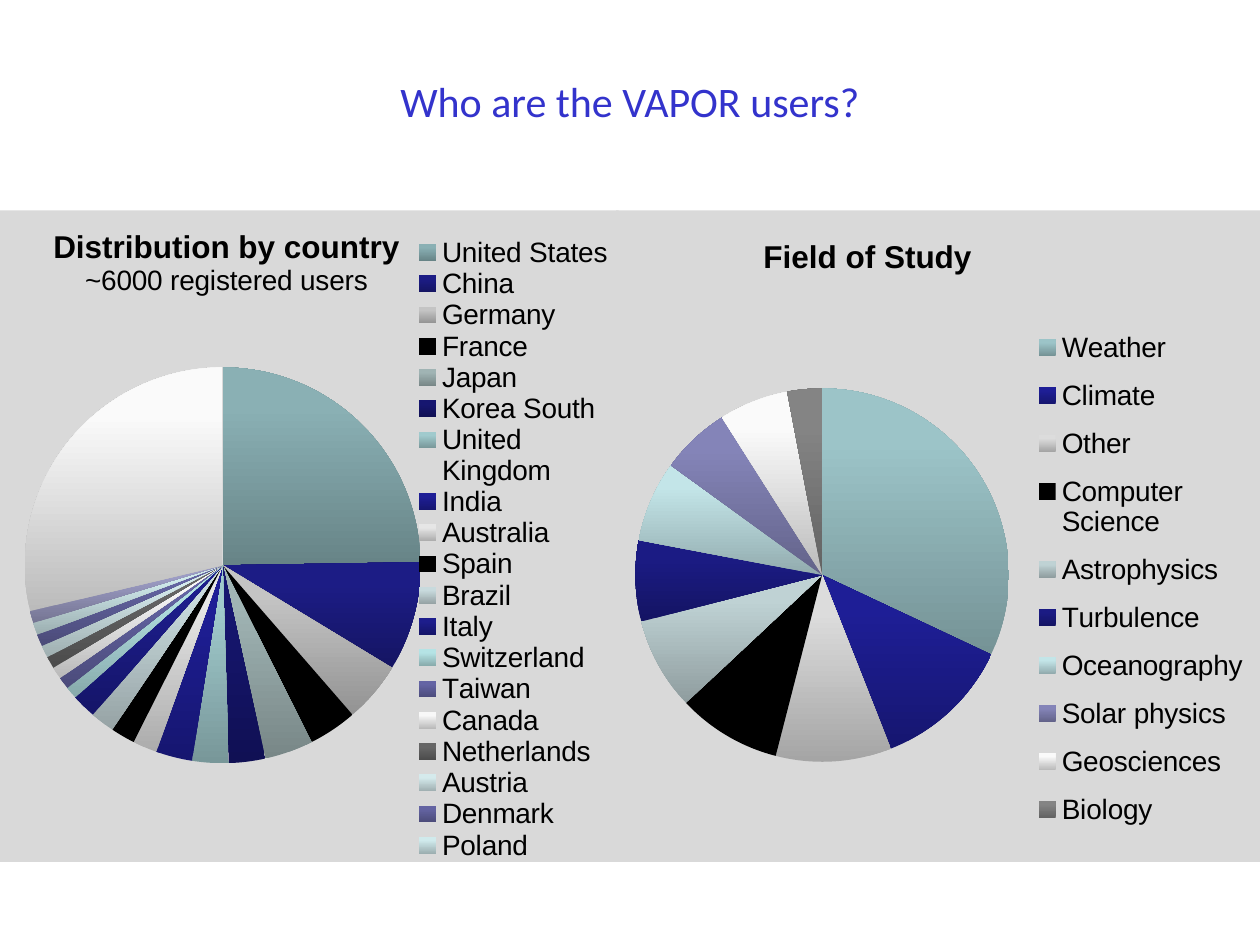
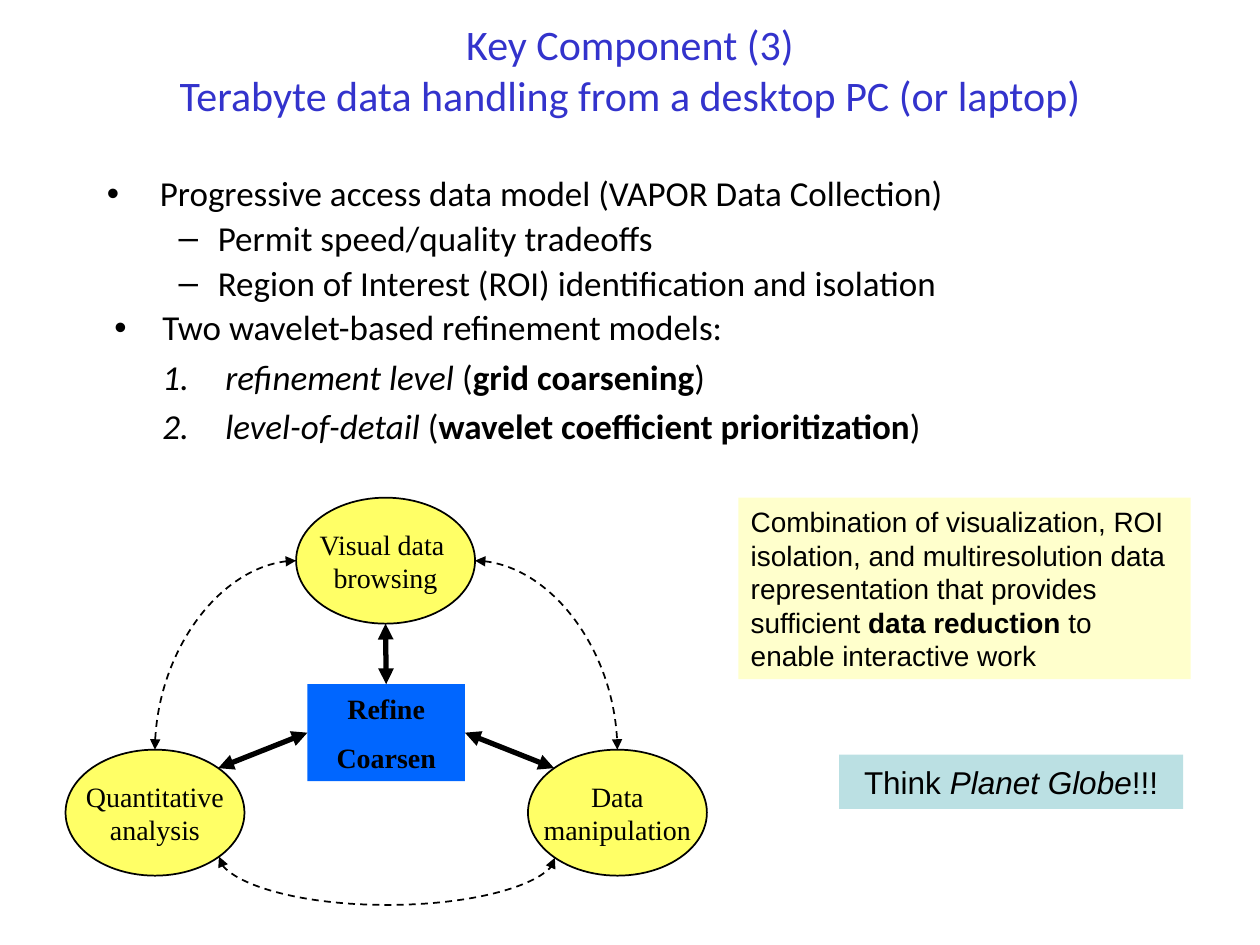
from dataclasses import dataclass
from math import sqrt

from lxml import etree
from pptx import Presentation
from pptx.chart.data import CategoryChartData
from pptx.dml.color import RGBColor
from pptx.enum.chart import XL_CHART_TYPE, XL_LEGEND_POSITION
from pptx.enum.dml import MSO_LINE
from pptx.enum.shapes import MSO_CONNECTOR, MSO_SHAPE
from pptx.enum.text import MSO_ANCHOR, PP_ALIGN
from pptx.oxml import parse_xml
from pptx.oxml.ns import nsdecls, qn
from pptx.util import Inches, Pt

BLACK = "000000"
TITLE_BLUE = "3333CC"
PANEL_GREY = "D9D9D9"
BUBBLE_YELLOW = "FFFF66"

Box = tuple[float, float, float, float]  # left, top, width, height
Point = tuple[float, float]
Runs = list[tuple[str, str]]  # text, style: "", "b" or "i"


@dataclass
class Line:
    runs: Runs
    indent: float = 0
    hanging: float = 0
    bullet: str = ""
    spacing: float = 1.0
    before: float = 0


@dataclass
class TextStyle:
    font: str
    size: float
    color: str = BLACK
    bold: bool = False
    align: PP_ALIGN = PP_ALIGN.CENTER
    anchor: MSO_ANCHOR = MSO_ANCHOR.MIDDLE
    wrap: bool = True


@dataclass
class Pie:
    box: Box
    heading: str
    subheading: str
    slices: list[tuple[str, int, str]]  # category, share, top colour
    title_at: Point
    plot_box: Box
    legend_box: Box


TITLE_STYLE = TextStyle("Calibri", 24, TITLE_BLUE)
BUBBLE_STYLE = TextStyle("Times New Roman", 16, wrap=False)

COUNTRIES = Pie(
    (0, 1.67, 4.91, 5.17), "Distribution by country", "~6000 registered users",
    [("United States", 25, "8AB0B4"), ("China", 9, "1C1C85"), ("Germany", 5, "C4C4C4"),
     ("France", 4, BLACK), ("Japan", 4, "A0B4B4"), ("Korea South", 3, "161670"),
     ("United Kingdom", 3, "A0CACD"), ("India", 3, "1E1E96"), ("Australia", 2, "E6E6E6"),
     ("Spain", 2, BLACK), ("Brazil", 2, "C8DADD"), ("Italy", 2, "1D1D8C"),
     ("Switzerland", 1, "B5E3E5"), ("Taiwan", 1, "6464A4"), ("Canada", 1, "F8F8F8"),
     ("Netherlands", 1, "666666"), ("Austria", 1, "D5EAEC"), ("Denmark", 1, "6464A2"),
     ("Poland", 1, "D0EAEC"), ("Russian Federation", 1, "9C9CC4"), ("Other", 29, "FAFAFA")],
    (0.08, 0.02), (0.04, 0.24, 0.64, 0.61), (0.66, 0.04, 0.34, 0.96))

FIELDS = Pie(
    (4.89, 1.67, 5.11, 5.17), "Field of Study", "",
    [("Weather", 32, "9CC4C8"), ("Climate", 12, "1E1E96"), ("Other", 10, "DCDCDC"),
     ("Computer Science", 9, BLACK), ("Astrophysics", 8, "BFD2D4"),
     ("Turbulence", 7, "1B1B84"), ("Oceanography", 7, "C3E5E8"),
     ("Solar physics", 6, "8484B8"), ("Geosciences", 6, "FAFAFA"), ("Biology", 3, "848484")],
    (0.22, 0.03), (0.03, 0.27, 0.58, 0.58), (0.64, 0.16, 0.35, 0.81))


def rgb(color: str) -> RGBColor:
    return RGBColor.from_string(color)


def shade(color: str, factor: float = 0.75) -> str:
    return "".join(f"{int(int(color[i:i + 2], 16) * factor):02X}" for i in (0, 2, 4))


def inches(values) -> list:
    return [Inches(value) for value in values]


# Text
def set_bullet(paragraph, line: Line) -> None:
    properties = paragraph._p.get_or_add_pPr()
    properties.set("marL", str(Inches(line.indent)))
    properties.set("indent", str(-Inches(line.hanging)))
    if line.bullet == "1.":
        etree.SubElement(properties, qn("a:buAutoNum"), type="arabicPeriod")
    else:
        etree.SubElement(properties, qn("a:buFont"), typeface="Arial")
        etree.SubElement(properties, qn("a:buChar"), char=line.bullet)


def write(shape, lines: list[Line], style: TextStyle) -> None:
    frame = shape.text_frame
    frame.word_wrap = style.wrap
    frame.vertical_anchor = style.anchor
    for number, line in enumerate(lines):
        paragraph = frame.add_paragraph() if number else frame.paragraphs[0]
        if line.bullet:
            set_bullet(paragraph, line)
        paragraph.alignment = style.align
        paragraph.line_spacing = line.spacing
        if number and line.before:
            paragraph.space_before = Pt(line.before)
        font = paragraph.font
        font.name, font.size, font.bold = style.font, Pt(style.size), style.bold
        font.color.rgb = rgb(style.color)
        for text, emphasis in line.runs:
            run = paragraph.add_run()
            run.text = text
            if emphasis == "b":
                run.font.bold = True
            elif emphasis == "i":
                run.font.italic = True


def add_title(slide, top: float, *rows: str) -> None:
    title = slide.shapes.add_textbox(*inches((0.75, top, 8.5, 0.94)))
    write(title, [Line([(row, "")]) for row in rows], TITLE_STYLE)


def add_panel(slide, kind, box: Box, fill: str, lines: list[Line], style: TextStyle,
              outline: str = ""):
    panel = slide.shapes.add_shape(kind, *inches(box))
    panel.shadow.inherit = False
    panel.fill.solid()
    panel.fill.fore_color.rgb = rgb(fill)
    if outline:
        panel.line.color.rgb = rgb(outline)
        panel.line.width = Pt(1)
    else:
        panel.line.fill.background()
    write(panel, lines, style)
    return panel


# Charts
def set_layout(parent, position: int, values, inner: bool = False) -> None:
    for old in parent.findall(qn("c:layout")):
        parent.remove(old)
    layout = etree.Element(qn("c:layout"))
    manual = etree.SubElement(layout, qn("c:manualLayout"))
    if inner:
        etree.SubElement(manual, qn("c:layoutTarget"), val="inner")
    for mode in ("xMode", "yMode"):
        etree.SubElement(manual, qn(f"c:{mode}"), val="edge")
    for name, value in zip("xywh", values):
        etree.SubElement(manual, qn(f"c:{name}"), val=str(value))
    parent.insert(position, layout)


def add_pie(slide, pie: Pie) -> None:
    names, shares, colors = zip(*pie.slices)
    data = CategoryChartData()
    data.categories = names
    data.add_series("Series 1", shares)
    chart = slide.shapes.add_chart(XL_CHART_TYPE.PIE, *inches(pie.box), data).chart
    chart.font.name, chart.font.size = "Arial", Pt(10)
    chart.font.color.rgb = rgb(BLACK)
    chart_part = chart._chartSpace.find(qn("c:chart"))
    chart_part.addnext(parse_xml(
        f'<c:spPr {nsdecls("c", "a")}><a:solidFill><a:srgbClr val="{PANEL_GREY}"/>'
        "</a:solidFill><a:ln><a:noFill/></a:ln></c:spPr>"))

    # Heading
    chart.has_title = True
    frame = chart.chart_title.text_frame
    rows = [(pie.heading, 18, True), (pie.subheading, 16, False)]
    for number, (text, size, bold) in enumerate(row for row in rows if row[0]):
        paragraph = frame.add_paragraph() if number else frame.paragraphs[0]
        paragraph.font.name, paragraph.font.size = "Arial", Pt(size)
        paragraph.font.bold = bold
        paragraph.font.color.rgb = rgb(BLACK)
        paragraph.add_run().text = text
    set_layout(chart_part.find(qn("c:title")), 1, pie.title_at)

    # Legend
    chart.has_legend = True
    legend = chart.legend
    legend.position = XL_LEGEND_POSITION.RIGHT
    legend.include_in_layout = False
    legend.font.name, legend.font.size = "Arial", Pt(16)
    legend.font.color.rgb = rgb(BLACK)
    set_layout(chart_part.find(qn("c:legend")), 1, pie.legend_box)

    # Slices, darker towards the bottom
    set_layout(chart_part.find(qn("c:plotArea")), 0, pie.plot_box, inner=True)
    chart.plots[0].vary_by_categories = True
    for number, color in enumerate(colors):
        piece = chart.plots[0].series[0].points[number].format
        piece.fill.gradient()
        piece.fill.gradient_angle = 90
        bottom, top = piece.fill.gradient_stops
        bottom.color.rgb, bottom.position = rgb(shade(color)), 0
        top.color.rgb, top.position = rgb(color), 0.8
        piece.line.fill.background()


# Connectors
def bubble_site(box: Box, across: int, down: int) -> Point:
    """Point on an ellipse in the given direction (-1, 0 or 1 each way)."""
    left, top, width, height = box
    length = sqrt(across ** 2 + down ** 2)
    return (left + width / 2 * (1 + across / length),
            top + height / 2 * (1 + down / length))


def add_arrow(slide, kind, start: Point, end: Point, width: float, dashed: bool = False):
    arrow = slide.shapes.add_connector(kind, *inches(start + end))
    arrow.line.color.rgb = rgb(BLACK)
    arrow.line.width = Pt(width)
    if dashed:
        arrow.line.dash_style = MSO_LINE.DASH
    outline = arrow.line._get_or_add_ln()
    for tip in ("headEnd", "tailEnd"):
        etree.SubElement(outline, qn(f"a:{tip}"), type="triangle")
    etree.SubElement(arrow._element.spPr, qn("a:effectLst"))
    return arrow


def glue(arrow, end: str, shape, site: int) -> None:
    links = arrow._element.find(".//" + qn("p:cNvCxnSpPr"))
    etree.SubElement(links, qn(f"a:{end}"), id=str(shape.shape_id), idx=str(site))


def add_arc(slide, start: Point, end: Point, first, first_site: int, last, last_site: int):
    arc = add_arrow(slide, MSO_CONNECTOR.CURVE, start, end, 1, dashed=True)
    glue(arc, "stCxn", first, first_site)
    glue(arc, "endCxn", last, last_site)
    return arc._element.spPr


def build_users(slide) -> None:
    add_title(slide, 0.33, "Who are the VAPOR users?")
    for pie in (FIELDS, COUNTRIES):
        add_pie(slide, pie)


def build_data_handling(slide) -> None:
    add_title(slide, 0.08, "Key Component (3)",
              "Terabyte data handling from a desktop PC (or laptop)")

    # Bullet list
    def numbered(term: str, meaning: str) -> Line:
        return Line([(term, "i"), (" (", ""), (meaning, "b"), (")", "")], 1, 0.5, "1.", 1, 4)

    def dashed(text: str) -> Line:
        return Line([(text, "")], 0.94, 0.31, "–", 0.9, 4)

    points = slide.shapes.add_textbox(*inches((0.69, 1.35, 8.5, 2.48)))
    write(points, [
        Line([("Progressive access data model (VAPOR Data Collection)", "")],
             0.48, 0.42, "•", 0.9),
        dashed("Permit speed/quality tradeoffs"),
        dashed("Region of Interest (ROI) identification and isolation"),
        Line([("Two wavelet-based refinement models:", "")], 0.5, 0.38, "•", 0.9, 4),
        numbered("refinement level", "grid coarsening"),
        numbered("level-of-detail", "wavelet coefficient prioritization"),
    ], TextStyle("Calibri", 20, align=PP_ALIGN.LEFT, anchor=MSO_ANCHOR.TOP))

    # Callouts
    add_panel(slide, MSO_SHAPE.RECTANGLE, (5.86, 3.95, 3.59, 1.44), "FFFFCC", [Line([
        ("Combination of visualization, ROI isolation, and multiresolution data "
         "representation that provides sufficient ", ""),
        ("data reduction", "b"), (" to enable interactive work", "")])],
        TextStyle("Arial", 16, align=PP_ALIGN.LEFT))
    add_panel(slide, MSO_SHAPE.RECTANGLE, (6.66, 5.99, 2.73, 0.43), "BBE0E3",
              [Line([("Think ", ""), ("Planet Globe", "i"), ("!!!", "")])],
              TextStyle("Arial", 18, wrap=False))

    # Work cycle
    browse_box, change_box, analyse_box = [
        (left, top, 1.42, 1) for left, top in ((2.35, 3.95), (4.19, 5.95), (0.52, 5.95))]
    browse, change, analyse = [
        add_panel(slide, MSO_SHAPE.OVAL, box, BUBBLE_YELLOW,
                  [Line([(row, "")]) for row in rows], BUBBLE_STYLE, BLACK)
        for box, rows in ((browse_box, ("Visual data ", "browsing")),
                          (change_box, ("Data", "manipulation")),
                          (analyse_box, ("Quantitative", "analysis")))]
    refine = add_panel(slide, MSO_SHAPE.RECTANGLE, (2.44, 5.43, 1.25, 0.77), "0066FF",
                       [Line([(word, "")], before=9) for word in ("Refine", "Coarsen")],
                       TextStyle("Times New Roman", 16, bold=True))

    # Straight arrows from the centre box: its side, bubble, bubble site, direction
    for side, bubble, box, site, direction in (
            (0, browse, browse_box, 4, (0, 1)),
            (1, analyse, analyse_box, 7, (1, -1)),
            (3, change, change_box, 1, (-1, -1))):
        end = bubble_site(box, *direction)
        arrow = add_arrow(slide, MSO_CONNECTOR.STRAIGHT, end, end, 3)
        arrow.begin_connect(refine, side)
        glue(arrow, "endCxn", bubble, site)

    # Dashed arcs between the bubbles
    for across, site, bubble, box in ((-1, 2, analyse, analyse_box),
                                      (1, 6, change, change_box)):
        arc = add_arc(slide, bubble_site(browse_box, across, 0), bubble_site(box, 0, -1),
                      browse, site, bubble, 0)
        arc.find(qn("a:prstGeom")).set("prst", "curvedConnector2")

    # The lower arc is a narrow upright curve turned on its side
    left, level = bubble_site(analyse_box, 1, 1)
    right, _ = bubble_site(change_box, -1, 1)
    middle, half = (left + right) / 2, (right - left) / 2
    arc = add_arc(slide, (middle + 0.01, level - half), (middle, level + half),
                  analyse, 5, change, 3)
    arc.find(qn("a:xfrm")).set("rot", str(270 * 60000))
    guides = arc.find(qn("a:prstGeom")).find(qn("a:avLst"))
    etree.SubElement(guides, qn("a:gd"), name="adj1", fmla="val 3900000")


def main() -> None:
    deck = Presentation()
    deck.slide_width, deck.slide_height = Inches(10), Inches(7.5)
    for build in (build_users, build_data_handling):
        build(deck.slides.add_slide(deck.slide_layouts[6]))
    deck.save("out.pptx")


if __name__ == "__main__":
    main()
